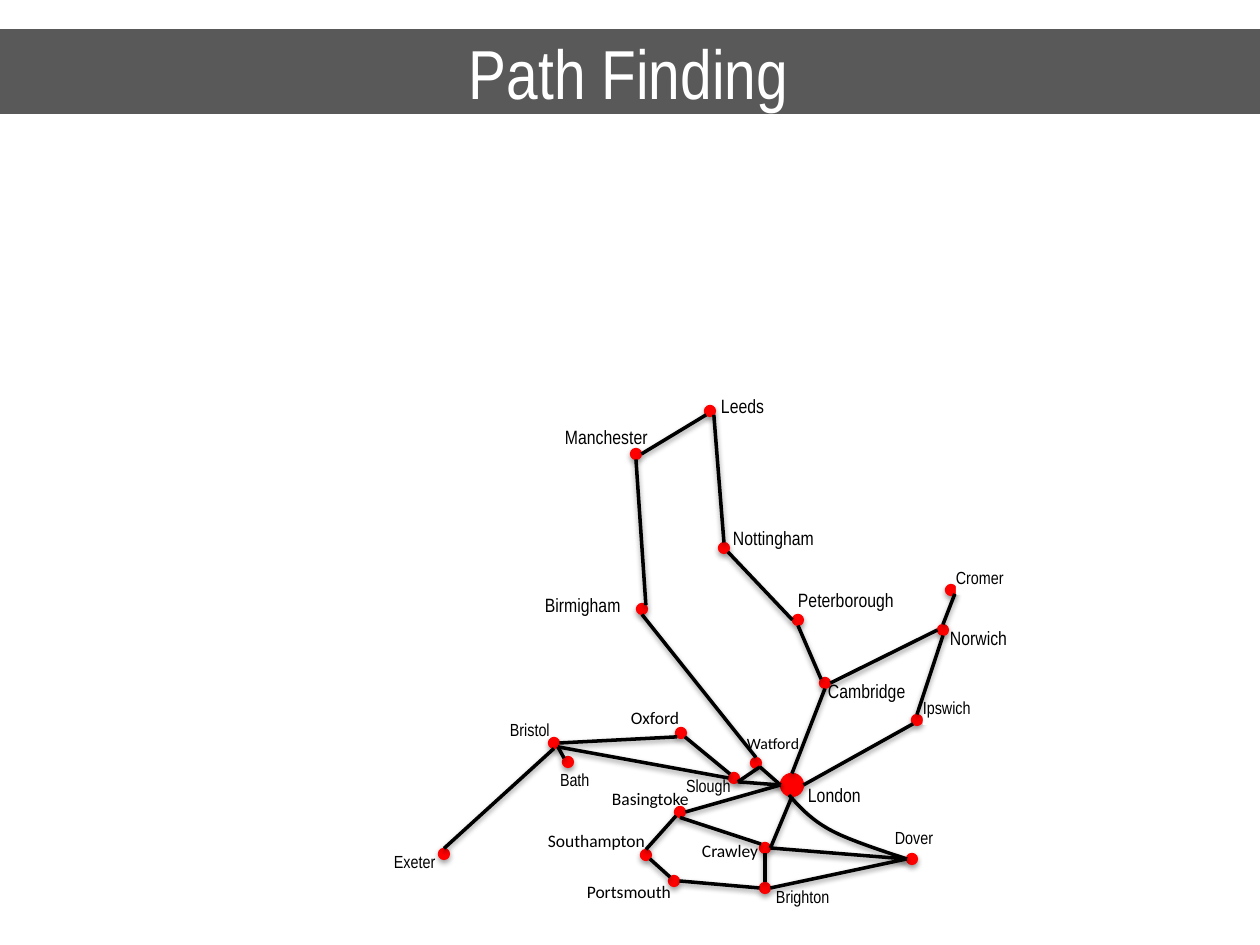
import math
import pptx
import pptx.util
import pptx.dml.color
import pptx.enum.shapes
import pptx.enum.text
import pptx.oxml
import pptx.oxml.ns

PX = 914400 // 126
SLIDE_SIZE = (1260, 945)
TITLE = ("Path Finding", (-3, 29, 1263, 85))
RED, BLACK, WHITE, GREY = "FF0000", "000000", "FFFFFF", "595959"

# Label styles: font, points, height, side inset, fill
STYLES = {
    "city": ("Arial Narrow", 11, 37, 13, None),
    "capital": ("Arial Narrow", 11, 37, 0, None),
    "inner": ("Arial Narrow", 10, 34, 13, None),
    "town": ("Arial Narrow", 10, 34, 0, None),
    "backed": ("Arial Narrow", 10, 34, 0, WHITE),
    "masked": ("Arial Narrow", 10, 34, 0, WHITE),
    "south": ("Calibri", 10, 34, 0, None),
    "minor": ("Calibri", 9, 31, 0, None),
}

# Station: centre, label left / top / width, label style
STATIONS = {
    "London": ((792, 785), (808, 777, 53), "capital"),
    "Ipswich": ((917, 720), (923, 691, 48), "masked"),
    "Brighton": ((765, 888), (776, 880, 54), "backed"),
    "Dover": ((912, 859), (895, 821, 39), "backed"),
    "Cromer": ((951, 590), (956, 561, 49), "masked"),
    "Portsmouth": ((674, 881), (587, 875, 86), "south"),
    "Norwich": ((943, 630), (937, 620, 85), "city"),
    "Peterborough": ((798, 620), (785, 582, 122), "city"),
    "Cambridge": ((825, 683), (815, 673, 105), "city"),
    "Southampton": ((646, 855), (548, 824, 98), "south"),
    "Basingtoke": ((680, 812), (612, 782, 78), "south"),
    "Crawley": ((765, 848), (702, 834, 58), "south"),
    "Watford": ((756, 763), (747, 728, 54), "minor"),
    "Slough": ((734, 778), (673, 769, 71), "inner"),
    "Oxford": ((681, 733), (631, 701, 49), "south"),
    "Bristol": ((554, 743), (510, 713, 40), "town"),
    "Bath": ((568, 762), (560, 763, 30), "town"),
    "Exeter": ((444, 854), (394, 845, 43), "town"),
    "Birmigham": ((642, 609), (532, 587, 102), "city"),
    "Nottingham": ((724, 548), (720, 520, 107), "city"),
    "Manchester": ((636, 454), (552, 419, 110), "city"),
    "Leeds": ((710, 411), (708, 388, 71), "city"),
}

# Each route leaves and reaches a station on a compass side of its dot
ROUTES = [
    ("London", "W", "Watford", "SE"), ("Ipswich", "SW", "London", "E"),
    ("Cromer", "SE", "Norwich", "N"), ("Norwich", "S", "Ipswich", "N"),
    ("London", "S", "Crawley", "E"), ("Crawley", "S", "Brighton", "N"),
    ("Brighton", "W", "Portsmouth", "E"), ("Portsmouth", "NW", "Southampton", "SE"),
    ("London", "W", "Basingtoke", "E"), ("Basingtoke", "SW", "Southampton", "N"),
    ("Crawley", "NW", "Basingtoke", "S"), ("Dover", "W", "Crawley", "E"),
    ("Dover", "W", "Brighton", "E"), ("Cambridge", "S", "London", "N"),
    ("London", "W", "Slough", "SE"), ("Slough", "NW", "Oxford", "SE"),
    ("Watford", "SE", "Slough", "SE"), ("Bristol", "SE", "Bath", "NW"),
    ("Bristol", "SE", "Slough", "W"), ("Bristol", "S", "Exeter", "N"),
    ("Nottingham", "SE", "Peterborough", "W"), ("Peterborough", "S", "Cambridge", "NW"),
    ("Cambridge", "E", "Norwich", "W"), ("Birmigham", "S", "Watford", "N"),
    ("Leeds", "SE", "Nottingham", "N"), ("Leeds", "SW", "Manchester", "E"),
    ("Manchester", "S", "Birmigham", "NE"), ("Oxford", "SW", "Bristol", "E"),
]
COMPASS = ["E", "SE", "S", "SW", "W", "NW", "N", "NE"]

# London to Dover: two Bezier arcs
DOVER_CURVE = [
    [(789, 795), (801, 809), (814, 822), (834, 832)],
    [(834, 832), (853, 842), (907, 859), (907, 859)],
]
CURVE_STEPS = 10


def px(*lengths):
    return [round(length * PX) for length in lengths]


def color(value):
    return pptx.dml.color.RGBColor.from_string(value)


def diameter(station):
    return 23 if station == "London" else 11


def side_point(station, side):
    (x, y), radius = STATIONS[station][0], diameter(station) / 2
    angle = COMPASS.index(side) * math.pi / 4
    return x + radius * math.cos(angle), y + radius * math.sin(angle)


def bezier(points, t):
    weights = [(1 - t) ** 3, 3 * t * (1 - t) ** 2, 3 * t * t * (1 - t), t ** 3]
    return [sum(w * p[axis] for w, p in zip(weights, points)) for axis in (0, 1)]


def outline(part, value, width):
    """Set the line, then add the soft shadow below it."""
    part.line.color.rgb = color(value)
    part.line.width = pptx.util.Pt(width)
    properties = part._element.spPr
    for old in properties.findall(pptx.oxml.ns.qn("a:effectLst")):
        properties.remove(old)
    properties.append(pptx.oxml.parse_xml(
        f'<a:effectLst {pptx.oxml.ns.nsdecls("a")}>'
        '<a:outerShdw blurRad="40000" dist="20000" dir="5400000" rotWithShape="0">'
        '<a:srgbClr val="000000"><a:alpha val="38000"/></a:srgbClr>'
        '</a:outerShdw></a:effectLst>'))


def write(paragraph, text, font, size, value):
    run = paragraph.add_run()
    run.text = text
    run.font.name = font
    run.font.size = pptx.util.Pt(size)
    run.font.color.rgb = color(value)


def add_labels(shapes, styles):
    for station, (_, (left, top, width), style) in STATIONS.items():
        if style not in styles:
            continue
        font, size, height, inset, fill = STYLES[style]
        label = shapes.add_textbox(*px(left, top, width, height))
        if fill:
            label.fill.solid()
            label.fill.fore_color.rgb = color(fill)
        frame = label.text_frame
        frame.word_wrap = False
        frame.auto_size = pptx.enum.text.MSO_AUTO_SIZE.SHAPE_TO_FIT_TEXT
        frame.margin_left = frame.margin_right = inset * PX
        write(frame.paragraphs[0], station, font, size, BLACK)


def main():
    deck = pptx.Presentation()
    deck.slide_width, deck.slide_height = px(*SLIDE_SIZE)
    shapes = deck.slides.add_slide(deck.slide_layouts[6]).shapes
    preset = pptx.enum.shapes.MSO_SHAPE

    # Title band
    text, place = TITLE
    band = shapes.add_shape(preset.RECTANGLE, *px(*place))
    band.shadow.inherit = False
    band.fill.solid()
    band.fill.fore_color.rgb = color(GREY)
    band.line.fill.background()
    band.text_frame.vertical_anchor = pptx.enum.text.MSO_ANCHOR.MIDDLE
    heading = band.text_frame.paragraphs[0]
    heading.alignment = pptx.enum.text.PP_ALIGN.CENTER
    write(heading, text, "Arial Narrow", 39.6, WHITE)

    # Station dots, between the backed labels and the masked ones
    add_labels(shapes, {"backed"})
    for station, ((x, y), _, _) in STATIONS.items():
        size = diameter(station)
        dot = shapes.add_shape(preset.OVAL, *px(x - size / 2, y - size / 2, size, size))
        dot.fill.solid()
        dot.fill.fore_color.rgb = color(RED)
        outline(dot, RED, 0.75)
    add_labels(shapes, {"masked"})

    # Routes
    for start, start_side, end, end_side in ROUTES:
        ends = side_point(start, start_side) + side_point(end, end_side)
        route = shapes.add_connector(pptx.enum.shapes.MSO_CONNECTOR.STRAIGHT, *px(*ends))
        outline(route, BLACK, 2)

    bends = [px(*bezier(arc, step / CURVE_STEPS))
             for arc in DOVER_CURVE for step in range(1, CURVE_STEPS + 1)]
    builder = shapes.build_freeform(*px(*DOVER_CURVE[0][0]))
    builder.add_line_segments(bends, close=False)
    curve = builder.convert_to_shape()
    curve.fill.background()
    outline(curve, BLACK, 2)

    # Remaining labels on top
    add_labels(shapes, set(STYLES) - {"backed", "masked"})

    deck.save("out.pptx")


if __name__ == "__main__":
    main()
